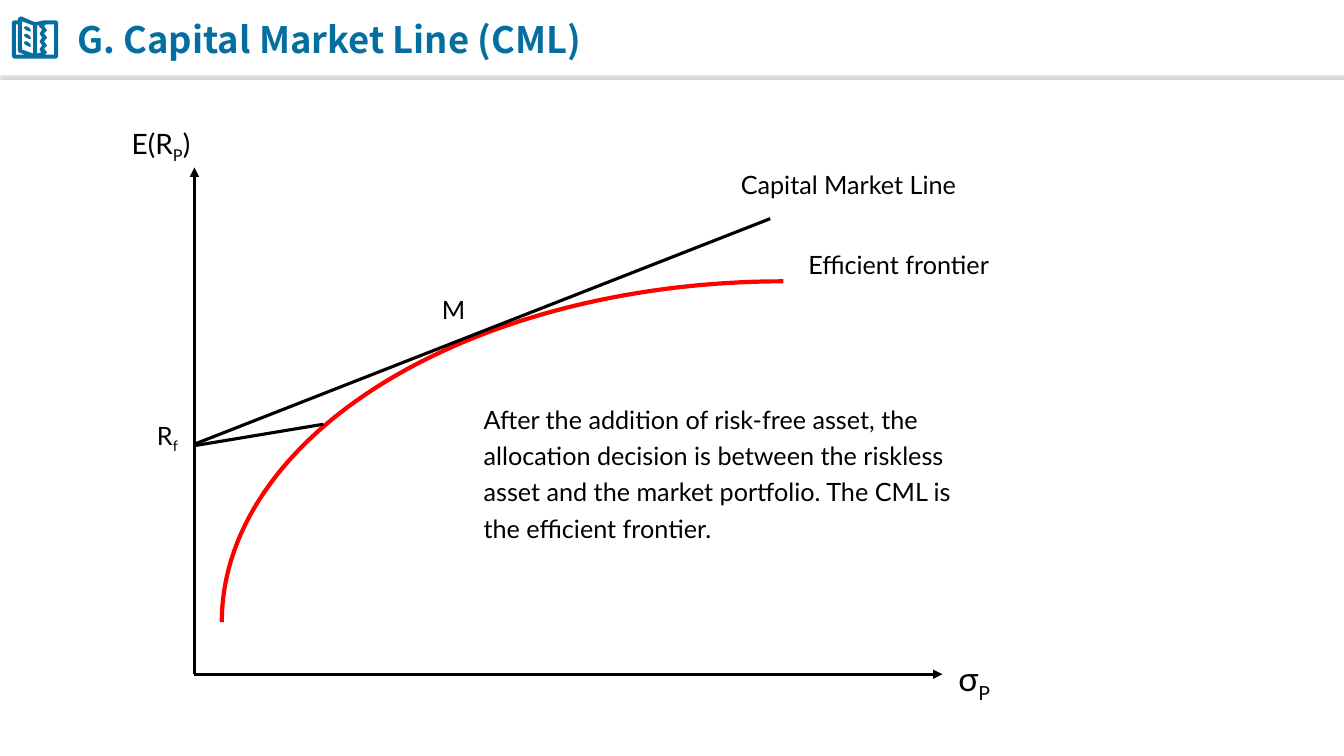
import math

import pptx
import pptx.dml.color
import pptx.enum.shapes
import pptx.enum.text
import pptx.oxml
import pptx.oxml.ns
import pptx.util
from pptx.util import Cm

HUES = {"blue": "056EA0", "black": "000000", "red": "FF0000",
        "white": "FFFFFF", "shade": "BCB4C4"}
ALIGN = pptx.enum.text.PP_ALIGN

# Book icon, on a grid of 46 by 42: cover, pages and text lines
DASH = [(13, 25), (15, 25), (18, 27), (19, 30), (17, 30), (13, 28), (12, 26)]
BOOK = [
    [(9, 0), (23, 6), (32, 4), (44, 4), (46, 6), (46, 40), (44, 42), (2, 42),
     (0, 40), (0, 6), (2, 4), (6, 4), (6, 2)],
    [(10, 5), (10, 33), (21, 37), (21, 9)],
    [(34, 8), (32, 10), (35, 14), (32, 17), (35, 21), (32, 25), (35, 29),
     (32, 32), (35, 36), (33, 38), (42, 38), (42, 8)],
    [(4, 8), (4, 38), (13, 38), (7, 36), (6, 34), (6, 8)],
    [(27, 9), (25, 9), (25, 37), (29, 36), (27.5, 32.5), (30, 29), (27.5, 25),
     (30, 21), (27.5, 17.5), (30, 13), (27, 10)],
] + [[(x, y - 7.5 * row) for x, y in DASH] for row in range(3)]


def color(name):
    return pptx.dml.color.RGBColor.from_string(HUES[name])


def add_xml(parent, tag, inner="", attrs=""):
    ns = pptx.oxml.ns.nsdecls("a")
    node = pptx.oxml.parse_xml(f"<a:{tag} {ns} {attrs}>{inner}</a:{tag}>")
    parent.append(node)


def add_line(slide, start, end, hue="black", width=2.25, arrow=False, effect=""):
    line = slide.shapes.add_connector(
        pptx.enum.shapes.MSO_CONNECTOR.STRAIGHT,
        *(Cm(v) for v in (*start, *end)))
    line.line.color.rgb = color(hue)
    line.line.width = pptx.util.Pt(width)
    if arrow:
        add_xml(line.line._get_or_add_ln(), "tailEnd", attrs='type="triangle"')
    add_xml(line._element.spPr, "effectLst", effect)


def add_path(slide, rings, close):
    rings = [[(Cm(x), Cm(y)) for x, y in ring] for ring in rings]
    pen = slide.shapes.build_freeform(*rings[0][0])
    for ring in rings:
        if ring is not rings[0]:
            pen.move_to(*ring[0])
        pen.add_line_segments(ring[1:], close=close)
    shape = pen.convert_to_shape()
    shape.shadow.inherit = False
    return shape


def add_text(slide, box, parts, size=18, font="Lato", hue="black",
             bold=False, align=ALIGN.LEFT, space=None, middle=False):
    """Write the parts in turn; every second part is a subscript."""
    frame = slide.shapes.add_textbox(*(Cm(v) for v in box)).text_frame
    frame.word_wrap = True
    if middle:
        frame.vertical_anchor = pptx.enum.text.MSO_ANCHOR.MIDDLE
    para = frame.paragraphs[0]
    para.alignment = align
    if space:
        para.line_spacing = space
    para.font.name = font
    para.font.size = pptx.util.Pt(size)
    para.font.bold = bold
    para.font.color.rgb = color(hue)
    for i, part in enumerate(parts):
        run = para.add_run()
        run.text = part
        if i % 2:
            run._r.get_or_add_rPr().set("baseline", "-25000")


def draw_head(slide, left, top, width, height):
    # Rule with a soft shadow below
    shade = (f'<a:outerShdw blurRad="12700" dist="38100" dir="5400000">'
             f'<a:srgbClr val="{HUES["shade"]}"/></a:outerShdw>')
    add_line(slide, (left, top + height), (left + width, top + height),
             "white", 0.75, effect=shade)

    # Icon
    unit = 0.0254
    book = add_path(slide, [[(left + 0.3 + x * unit, top + 0.41 + y * unit)
                             for x, y in ring] for ring in BOOK], True)
    book.fill.solid()
    book.fill.fore_color.rgb = color("blue")
    book.line.fill.background()

    # Title
    add_text(slide, (left + 1.7, top + 0.18, 27.13, 1.6),
             ["G. Capital Market Line (CML)"], 26, "Noto Sans CJK SC",
             "blue", True, middle=True)


def draw_plot(slide, left, top, width, height):
    def at(x, y):
        return left + x, top + y

    # Axes
    for end in ((width, height), (0, 0)):
        add_line(slide, at(0, height), at(*end), arrow=True)

    # Efficient frontier: a quarter of an ellipse
    steps = 60
    turns = [math.pi / 2 * i / steps for i in range(steps + 1)]
    curve = add_path(slide, [[at(14.84 - 14.15 * math.cos(t),
                                 11.46 - 8.59 * math.sin(t))
                              for t in turns]], False)
    curve.fill.background()
    curve.line.color.rgb = color("red")
    curve.line.width = pptx.util.Pt(3)

    # Lines from the risk-free rate
    add_line(slide, at(0.03, 6.96), at(14.51, 1.29))
    add_line(slide, at(0, 7.01), at(3.25, 6.47))

    # Axis names
    add_text(slide, (*at(19, 12.01), 1.6, 1.5), ["σ", "P"], 24, space=1.2)
    add_text(slide, (*at(-1.83, -1.35), 2.49, 1.19), ["E(R", "P", ")"], 20,
             space=1.2)

    # Labels
    for x, y, wide, parts, align in (
            (15.22, 1.93, 5.59, ["Efficient frontier"], ALIGN.LEFT),
            (13.52, -0.08, 6.81, ["Capital Market Line"], ALIGN.LEFT),
            (5.54, 3.07, 1.98, ["M"], ALIGN.CENTER),
            (-1.39, 6.24, 1.42, ["R", "f"], ALIGN.CENTER)):
        add_text(slide, (*at(x, y), wide, 1.12), parts, align=align)

    # Remark
    add_text(slide, (*at(7.04, 5.69), 12.95, 4.34), [
        "After the addition of risk-free asset, the allocation decision is "
        "between the riskless asset and the market portfolio. The CML is "
        "the efficient frontier."], space=1.2)


def main():
    deck = pptx.Presentation()
    deck.slide_width, deck.slide_height = Cm(33.87), Cm(19.05)
    slide = deck.slides.add_slide(deck.slide_layouts[6])
    draw_head(slide, 0, 0, 33.87, 1.85)
    draw_plot(slide, 4.9, 4.22, 18.85, 12.77)
    deck.save("out.pptx")


if __name__ == "__main__":
    main()
